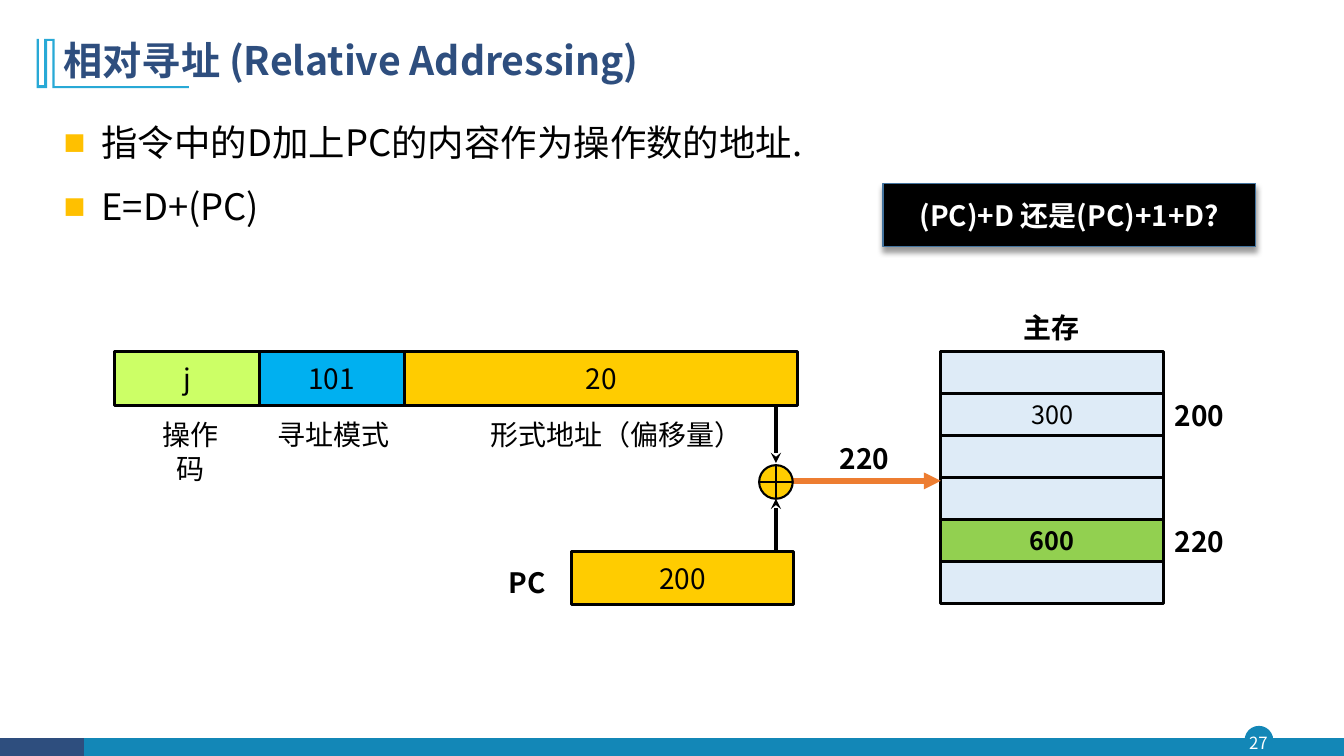
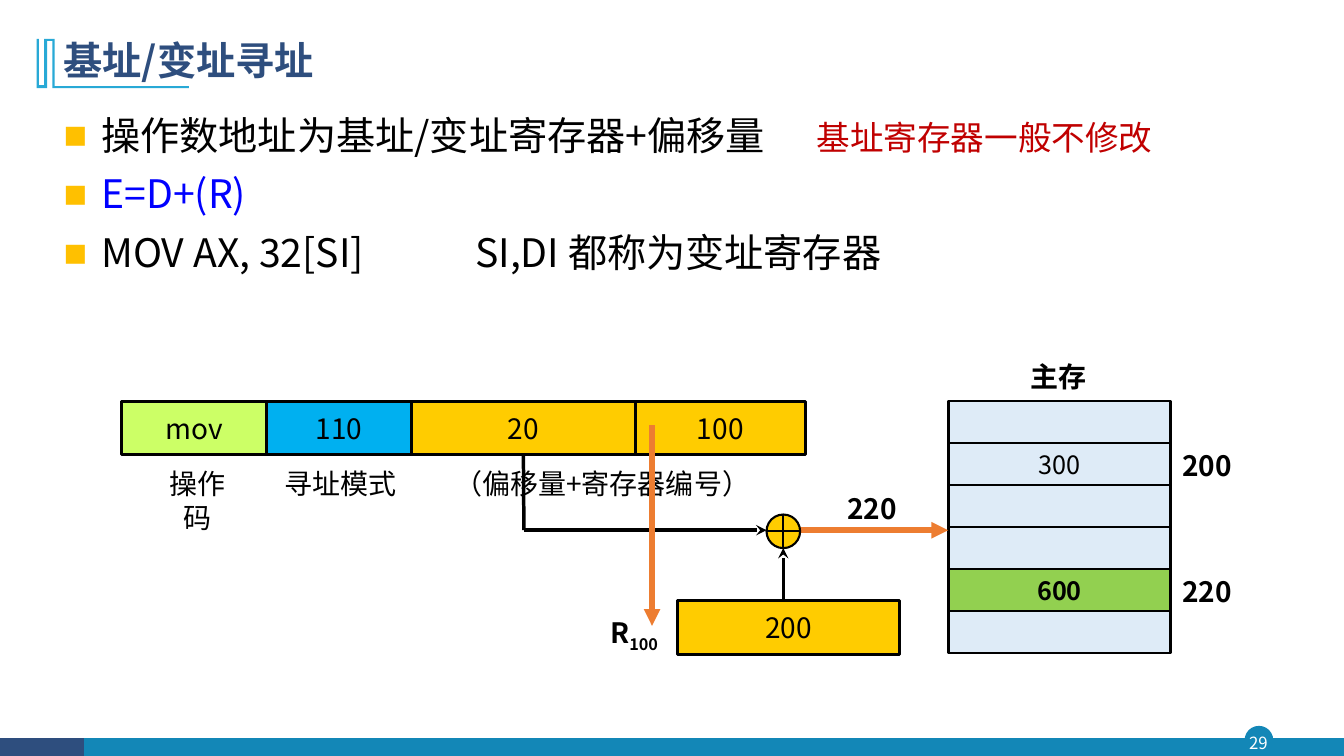
from lxml.etree import SubElement
from pptx import Presentation
from pptx.dml.color import RGBColor
from pptx.enum.shapes import MSO_CONNECTOR, MSO_SHAPE
from pptx.enum.text import MSO_ANCHOR, MSO_AUTO_SIZE, PP_ALIGN
from pptx.oxml.ns import qn
from pptx.util import Pt

PX = 9525
SANS = "Noto Sans CJK SC"
TITLE_SANS = "Noto Sans CJK JP"

BLACK = RGBColor(0x00, 0x00, 0x00)
WHITE = RGBColor(0xFF, 0xFF, 0xFF)
NAVY = RGBColor(0x2E, 0x4E, 0x7E)
TEAL = RGBColor(0x13, 0x87, 0xB7)
SKY = RGBColor(0x28, 0xA9, 0xD6)
STEEL = RGBColor(0x43, 0x73, 0x9E)
LIME = RGBColor(0xCC, 0xFF, 0x66)
CYAN = RGBColor(0x00, 0xB0, 0xF0)
GOLD = RGBColor(0xFF, 0xCC, 0x00)
AMBER = RGBColor(0xFF, 0xC0, 0x00)
PALE = RGBColor(0xDE, 0xEB, 0xF7)
GREEN = RGBColor(0x92, 0xD0, 0x50)
ORANGE = RGBColor(0xED, 0x7D, 0x31)
RED = RGBColor(0xC0, 0x00, 0x00)
BLUE = RGBColor(0x00, 0x00, 0xFF)


def put(slide, left, top, width, height, text="", size=20, bold=False, color=BLACK,
        fill=None, outline=BLACK, weight=2.25, preset=MSO_SHAPE.RECTANGLE):
    place = [value * PX for value in (left, top, width, height)]
    if fill is None:
        shape = slide.shapes.add_textbox(*place)
        shape.text_frame.auto_size = MSO_AUTO_SIZE.SHAPE_TO_FIT_TEXT
    else:
        shape = slide.shapes.add_shape(preset, *place)
        shape.shadow.inherit = False
        shape.fill.solid()
        shape.fill.fore_color.rgb = fill
        shape.line.color.rgb = outline
        shape.line.width = Pt(weight)
        shape.text_frame.vertical_anchor = MSO_ANCHOR.MIDDLE
    shape.text_frame.word_wrap = False
    paragraph = shape.text_frame.paragraphs[0]
    paragraph.alignment = PP_ALIGN.CENTER
    for index, part in enumerate(text.split("_") if text else []):
        run = paragraph.add_run()
        run.text = part
        run.font.name = SANS
        run.font.size = Pt(size)
        run.font.bold = bold
        run.font.color.rgb = color
        if index:
            run.font._element.set("baseline", "-25000")
    return shape


def connect(slide, x1, y1, x2, y2, color=BLACK, weight=2.5, tip="stealth"):
    connector = slide.shapes.add_connector(
        MSO_CONNECTOR.STRAIGHT, x1 * PX, y1 * PX, x2 * PX, y2 * PX)
    connector.line.color.rgb = color
    connector.line.width = Pt(weight)
    if tip:
        SubElement(connector.line._get_or_add_ln(), qn("a:tailEnd"), type=tip)
    SubElement(connector.element.spPr, qn("a:effectLst"))
    return connector


prs = Presentation()
prs.slide_width = 1280 * PX
prs.slide_height = 720 * PX
layout = prs.slide_layouts[1]
heading = layout.placeholders[0]
heading.left, heading.top, heading.width, heading.height = 51 * PX, 27 * PX, 1104 * PX, 65 * PX

pages = [
    {
        "number": "27",
        "title": [("相对寻址 ", TITLE_SANS), ("(Relative Addressing)", SANS)],
        "body": (1104, 167), "spacing": 1.14,
        "points": [
            ([("指令中的D加上PC的内容作为操作数的地址.", 26, BLACK)], None),
            ([("E=D+(PC)", 26, BLACK)], None),
        ],
        "shift": (0, 0),
        "fields": [("j", 138, LIME), ("101", 138, CYAN), ("20", 375, GOLD)],
        "address": ("形式地址（偏移量）", 406, 363),
        "register": ("PC", 474, 56, 544),
    },
    {
        "number": "29",
        "title": [("基址/变址寻址", TITLE_SANS)],
        "body": (1194, 216), "spacing": 0.95,
        "points": [
            ([("操作数地址为基址/变址寄存器+偏移量\t", 28, BLACK),
              ("基址寄存器一般不修改", 24, RED)], 717),
            ([("E=D+(R)", 28, BLUE)], None),
            ([("MOV AX, 32[SI]\tSI,DI 都称为变址寄存器", 28, BLACK)], 392),
        ],
        "shift": (7, 47),
        "fields": [("mov", 138, LIME), ("110", 138, CYAN), ("20", 213, GOLD), ("100", 162, GOLD)],
        "address": ("（偏移量+寄存器编号）", 361, 411),
        "register": ("R_100", 561, 72, 638),
    },
]
memory = ["", "300", "", "", "600", ""]
addresses = {1: "200", 4: "220"}

for page in pages:
    slide = prs.slides.add_slide(layout)

    if page is pages[0]:
        badge = put(slide, 1186, 692, 26, 26, fill=TEAL, outline=TEAL, weight=1,
                    preset=MSO_SHAPE.OVAL)
        band = put(slide, 0, 703, 1280, 17, fill=TEAL)
        corner = put(slide, 0, 703, 80, 17, fill=NAVY)
        outline = slide.shapes.build_freeform(52, 37, scale=PX)
        outline.add_line_segments([
            (52, 82), (180, 82), (180, 84), (50, 84), (50, 39), (45, 39), (45, 84),
            (35, 84), (35, 37), (37, 37), (37, 81), (42, 81), (42, 37)])
        bracket = outline.convert_to_shape()
        bracket.shadow.inherit = False
        bracket.fill.solid()
        bracket.fill.fore_color.rgb = SKY
        for flat in (band, corner, bracket):
            flat.line.fill.background()
        for decoration in (badge, band, corner, bracket):
            layout.shapes.element.append(decoration.element)

    title = slide.shapes.title.text_frame
    title.auto_size = MSO_AUTO_SIZE.NONE
    title.vertical_anchor = MSO_ANCHOR.MIDDLE
    title.paragraphs[0].alignment = PP_ALIGN.LEFT
    title.paragraphs[0].line_spacing = 0.9
    for text, face in page["title"]:
        run = title.paragraphs[0].add_run()
        run.text = text
        run.font.name = face
        run.font.size = Pt(28)
        run.font.bold = True
        run.font.color.rgb = NAVY

    body = slide.placeholders[1]
    body.left, body.top = 51 * PX, 104 * PX
    body.width, body.height = [value * PX for value in page["body"]]
    body.text_frame.auto_size = MSO_AUTO_SIZE.NONE
    for index, (parts, tab) in enumerate(page["points"]):
        point = body.text_frame.add_paragraph() if index else body.text_frame.paragraphs[0]
        properties = point._p.get_or_add_pPr()
        properties.set("marL", str(36 * PX))
        properties.set("indent", str(-36 * PX))
        SubElement(SubElement(properties, qn("a:buClr")), qn("a:srgbClr"), val=str(AMBER))
        SubElement(properties, qn("a:buChar"), char="■")
        if tab:
            SubElement(SubElement(properties, qn("a:tabLst")), qn("a:tab"),
                       pos=str(tab * PX), algn="l")
        point.alignment = PP_ALIGN.JUSTIFY
        point.line_spacing = page["spacing"]
        point.space_before = Pt(10 if index else 0)
        for text, size, color in parts:
            run = point.add_run()
            run.text = text
            run.font.name = SANS
            run.font.size = Pt(size)
            run.font.color.rgb = color

    number = put(slide, 1183, 692, 31, 30, page["number"], size=12, color=WHITE)
    number.text_frame.auto_size = MSO_AUTO_SIZE.NONE
    number.text_frame.vertical_anchor = MSO_ANCHOR.MIDDLE

    dx, dy = page["shift"]
    left = 109 + dx
    fields = []
    for text, width, fill in page["fields"]:
        fields.append(put(slide, left, 335 + dy, width, 51, text, fill=fill))
        left += width
    for text, left, width in [("操作码", 132, 99), ("寻址模式", 254, 127), page["address"]]:
        put(slide, left + dx, 393 + dy, width, 42, text)

    put(slide, 965 + dx, 291 + dy, 73, 42, "主存", bold=True)
    for row, content in enumerate(memory):
        top = 335 + 40 * row + dy
        target = content == "600"
        put(slide, 896 + dx, top, 212, 40, content, size=18, bold=target,
            fill=GREEN if target else PALE, weight=2)
        if row in addresses:
            put(slide, 1108 + dx, top, 69, 42, addresses[row], bold=True)

    name, name_left, name_width, register_left = page["register"]
    put(slide, register_left + dx, 525 + dy, 212, 51, "200", fill=GOLD)
    put(slide, name_left + dx, 534 + dy, name_width, 42, name, bold=True)

    connect(slide, 755 + dx, 458 + dy, 896 + dx, 458 + dy, ORANGE, 4, "triangle")
    put(slide, 789 + dx, 416 + dy, 69, 42, "220", bold=True)
    put(slide, 723 + dx, 443 + dy, 32, 32, fill=GOLD, weight=1.5, preset=MSO_SHAPE.FLOWCHART_OR)
    connect(slide, 739 + dx, 525 + dy, 739 + dx, 475 + dy)

    if page is pages[0]:
        connect(slide, 739, 386, 739, 441)
        question = put(slide, 841, 175, 355, 60, "(PC)+D 还是(PC)+1+D?", bold=True,
                       color=WHITE, fill=BLACK, outline=STEEL, weight=1)
        effects = question.element.spPr.find(qn("a:effectLst"))
        shadow = SubElement(effects, qn("a:outerShdw"), blurRad=str(Pt(4)), dist=str(Pt(3)),
                            dir="5400000", algn="t", rotWithShape="0")
        tint = SubElement(shadow, qn("a:srgbClr"), val=str(BLACK))
        SubElement(tint, qn("a:alpha"), val="40000")
    else:
        offset_drop = connect(slide, 492 + dx, 386 + dy, 492 + dx, 458 + dy, tip=None)
        offset_drop.begin_connect(fields[2], 2)
        connect(slide, 492 + dx, 458 + dy, 723 + dx, 458 + dy)
        connect(slide, 614 + dx, 358 + dy, 614 + dx, 549 + dy, ORANGE, 4, "triangle")

    for latin in list(slide.element.iter(qn("a:latin"))):
        east_asian = SubElement(latin.getparent(), qn("a:ea"), typeface=latin.get("typeface"))
        latin.addnext(east_asian)

prs.save("out.pptx")
